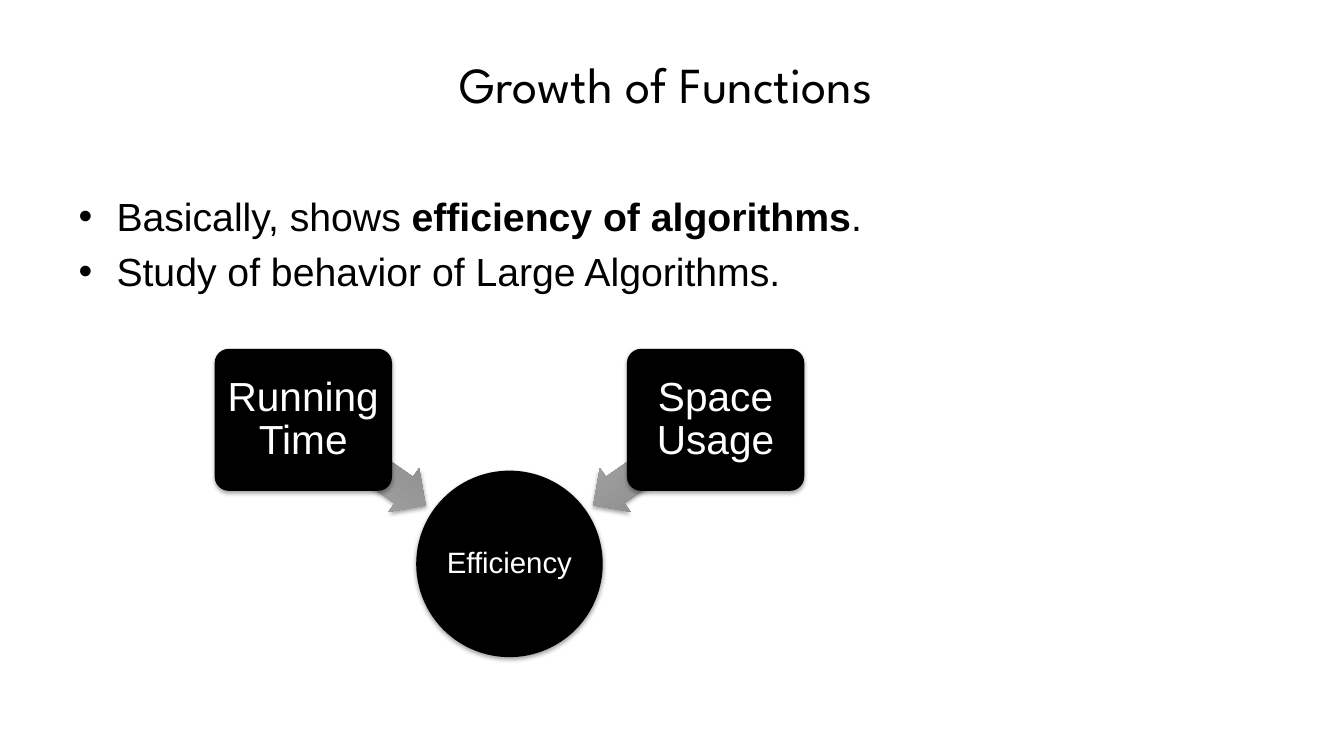
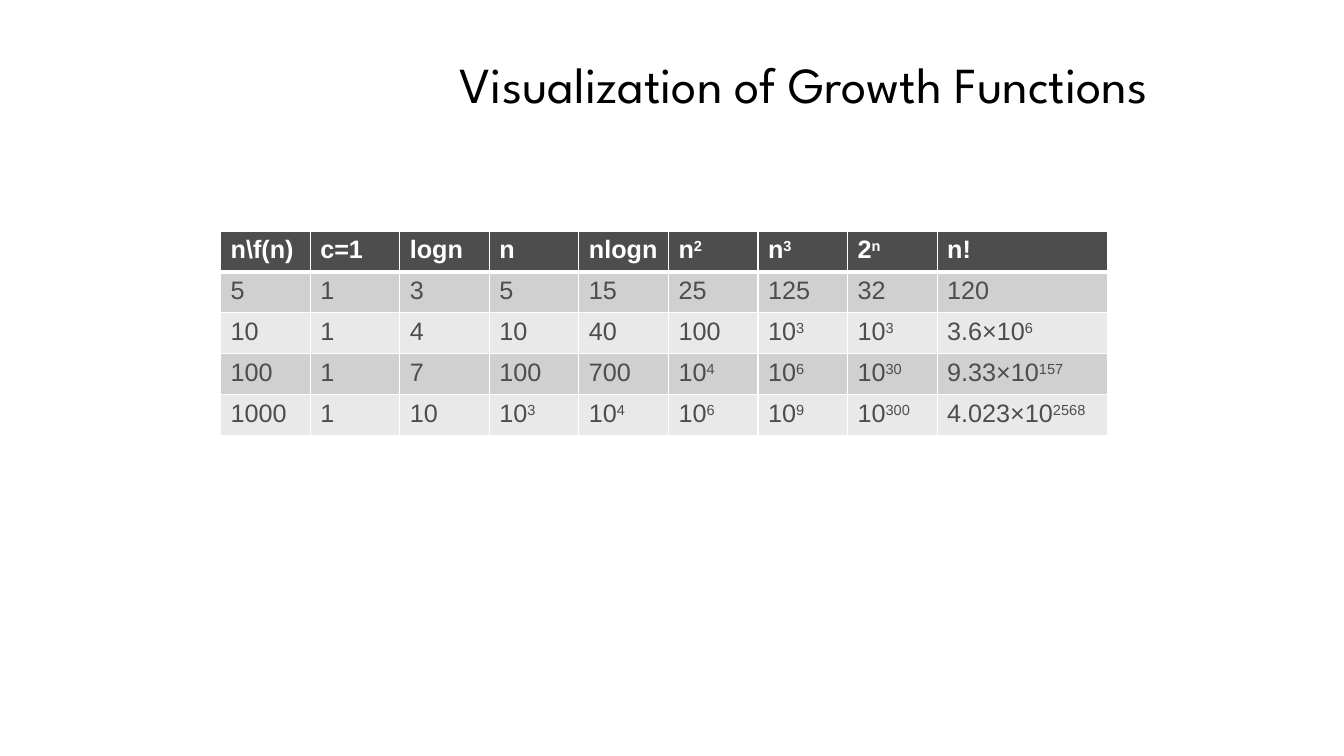
from dataclasses import dataclass

from lxml.etree import SubElement
from pptx import Presentation
from pptx.dml.color import RGBColor as RGB
from pptx.enum.shapes import MSO_SHAPE as Shape
from pptx.enum.text import MSO_ANCHOR as Anchor, MSO_AUTO_SIZE as AutoSize, PP_ALIGN as Align
from pptx.oxml import parse_xml
from pptx.oxml.ns import nsdecls, qn
from pptx.util import Cm, Pt


@dataclass(frozen=True)
class Theme:
    """Colours, fonts and type sizes of the deck."""
    black: str = "000000"
    white: str = "FFFFFF"
    header: str = "4D4D4D"
    bands: tuple = ("D0D0D0", "E9E9E9")
    arrow: tuple = ("808080", "A6A6A6")
    title_font: str = "League Spartan"
    body_font: str = "Arial"
    title_size: int = 36
    body_size: int = 28
    factor_size: int = 29
    goal_size: int = 21
    table_size: int = 18


THEME = Theme()
TITLE_BOX = (11.33, 0.71, 20.8, 2.79)
LIST_BOX = (1.73, 4.72, 30.4, 11.81)
DIAGRAM_BOX = (5.41, 8.79, 14.86, 7.77)
TABLE_BOX = (5.56, 5.82, 22.35, 5.16)

POINTS = [
    [("Basically, shows ", False), ("efficiency of algorithms", True), (".", False)],
    [("Study of behavior of Large Algorithms.", False)],
]
GROWTH = [
    ["n\\f(n)", "c=1", "logn", "n", "nlogn", "n^2", "n^3", "2^n", "n!"],
    ["5", "1", "3", "5", "15", "25", "125", "32", "120"],
    ["10", "1", "4", "10", "40", "100", "10^3", "10^3", "3.6×10^6"],
    ["100", "1", "7", "100", "700", "10^4", "10^6", "10^30", "9.33×10^157"],
    ["1000", "1", "10", "10^3", "10^4", "10^6", "10^9", "10^300", "4.023×10^2568"],
]


def style(run, size, color=THEME.black, font=THEME.body_font, bold=False):
    """Format one run."""
    run.font.size, run.font.name, run.font.bold = Pt(size), font, bold
    run.font.color.rgb = RGB.from_string(color)


def place(shape, box):
    """Move a shape to a box in centimetres."""
    shape.left, shape.top, shape.width, shape.height = map(Cm, box)


def add_title(slide, text):
    """Fill the title placeholder in the shared title style."""
    title = slide.shapes.title
    place(title, TITLE_BOX)
    frame = title.text_frame
    frame.text = text
    frame.auto_size, frame.vertical_anchor = AutoSize.NONE, Anchor.MIDDLE
    frame.paragraphs[0].alignment = Align.LEFT
    style(frame.paragraphs[0].runs[0], THEME.title_size, font=THEME.title_font)


def add_points(slide, box, points):
    """Fill the body placeholder with bulleted points."""
    body = slide.placeholders[1]
    place(body, box)
    frame = body.text_frame
    frame.text = "\n".join("" for _ in points)
    frame.auto_size = AutoSize.NONE
    for paragraph, pieces in zip(frame.paragraphs, points):
        for text, bold in pieces:
            run = paragraph.add_run()
            run.text = text
            style(run, THEME.body_size, bold=bold)


def add_part(slide, kind, box):
    """Add a black preset shape without line and with a soft shadow."""
    part = slide.shapes.add_shape(kind, *map(Cm, box))
    part.line.fill.background()
    part.fill.solid()
    part.fill.fore_color.rgb = RGB.from_string(THEME.black)
    part.shadow.inherit = False
    effects = part._element.spPr.find(qn("a:effectLst"))
    effects.append(parse_xml(
        f'<a:outerShdw {nsdecls("a")} blurRad="{Pt(3.1)}" dist="{Pt(1.8)}" dir="5400000" '
        f'rotWithShape="0"><a:srgbClr val="{THEME.black}"><a:alpha val="35000"/>'
        '</a:srgbClr></a:outerShdw>'))
    return part


def label(part, text, size, inset):
    """Write a centred white label into a shape."""
    frame = part.text_frame
    frame.text = text
    frame.word_wrap, frame.vertical_anchor = True, Anchor.MIDDLE
    frame.margin_left = frame.margin_right = frame.margin_top = frame.margin_bottom = Cm(inset)
    paragraph = frame.paragraphs[0]
    paragraph.alignment, paragraph.line_spacing = Align.CENTER, 0.9
    style(paragraph.runs[0], size, THEME.white)


def add_arrow(slide, center_x, center_y, rotation):
    """Add a grey gradient block arrow turned about its centre."""
    width, height = 3.78, 1.35
    arrow = add_part(slide, Shape.LEFT_ARROW,
                     (center_x - width / 2, center_y - height / 2, width, height))
    arrow.adjustments[0], arrow.adjustments[1] = 0.6, 0.5
    arrow.rotation = rotation
    arrow.fill.gradient()
    arrow.fill.gradient_angle = 90
    for stop, color, position in zip(arrow.fill.gradient_stops, THEME.arrow, (0, 0.8)):
        stop.color.rgb = RGB.from_string(color)
        stop.position = position


def add_diagram(slide, box, goal, factors):
    """Draw two factors pointing from both sides at the goal below."""
    left, top, width, height = box
    middle, diameter = left + width / 2, 4.7
    factor_width, factor_height = 4.47, 3.58
    circle = add_part(slide, Shape.OVAL,
                      (middle - diameter / 2, top + height - diameter, diameter, diameter))
    label(circle, goal, THEME.goal_size, 0.03)
    for side, name in zip((-1, 1), factors):
        add_arrow(slide, middle + side * 3.66, top + 2.86, 270 + side * 55)
        factor_x = middle + side * (width - factor_width) / 2 - factor_width / 2
        factor = add_part(slide, Shape.ROUNDED_RECTANGLE,
                          (factor_x, top, factor_width, factor_height))
        factor.adjustments[0] = 0.1
        label(factor, name, THEME.factor_size, 0.14)


def add_borders(cell, **widths):
    """Draw white cell borders, with widths in points by side."""
    properties = cell._tc.get_or_add_tcPr()
    for side in "LRTB":
        line = SubElement(properties, qn(f"a:ln{side}"), w=str(Pt(widths.get(side, 1))))
        fill = SubElement(line, qn("a:solidFill"))
        SubElement(fill, qn("a:srgbClr"), val=THEME.white)


def fill_cell(cell, text, row):
    """Write a value, with any exponent after a caret raised, and paint the cell."""
    is_header = row == 0
    add_borders(cell, T=3 if row == 1 else 1, B=3 if is_header else 1)
    cell.fill.solid()
    cell.fill.fore_color.rgb = RGB.from_string(
        THEME.header if is_header else THEME.bands[(row - 1) % 2])
    for index, piece in enumerate(text.split("^")):
        run = cell.text_frame.paragraphs[0].add_run()
        run.text = piece
        style(run, THEME.table_size, THEME.white if is_header else THEME.header, bold=is_header)
        if index:
            run.font._element.set("baseline", "30000")


def add_growth_table(slide, box, rows):
    """Add the banded table with a wider last column."""
    left, top, width, height = box
    table = slide.shapes.add_table(len(rows), len(rows[0]), *map(Cm, box)).table
    last_width = 4.29
    for column in table.columns:
        column.width = Cm((width - last_width) / (len(rows[0]) - 1))
    table.columns[len(rows[0]) - 1].width = Cm(last_width)
    for row, values in enumerate(rows):
        table.rows[row].height = Cm(height / len(rows))
        for column, value in enumerate(values):
            fill_cell(table.cell(row, column), value, row)


def growth_slide(deck):
    """Build the slide that introduces growth of functions."""
    slide = deck.slides.add_slide(deck.slide_layouts[1])
    add_title(slide, "Growth of Functions")
    add_points(slide, LIST_BOX, POINTS)
    add_diagram(slide, DIAGRAM_BOX, "Efficiency", ("Running Time", "Space Usage"))


def table_slide(deck):
    """Build the slide that compares growth functions."""
    slide = deck.slides.add_slide(deck.slide_layouts[5])
    add_title(slide, "Visualization of Growth Functions")
    add_growth_table(slide, TABLE_BOX, GROWTH)


def main():
    """Build and save the deck."""
    deck = Presentation()
    deck.slide_width, deck.slide_height = Cm(33.87), Cm(19.05)
    growth_slide(deck)
    table_slide(deck)
    deck.save("out.pptx")


main()
